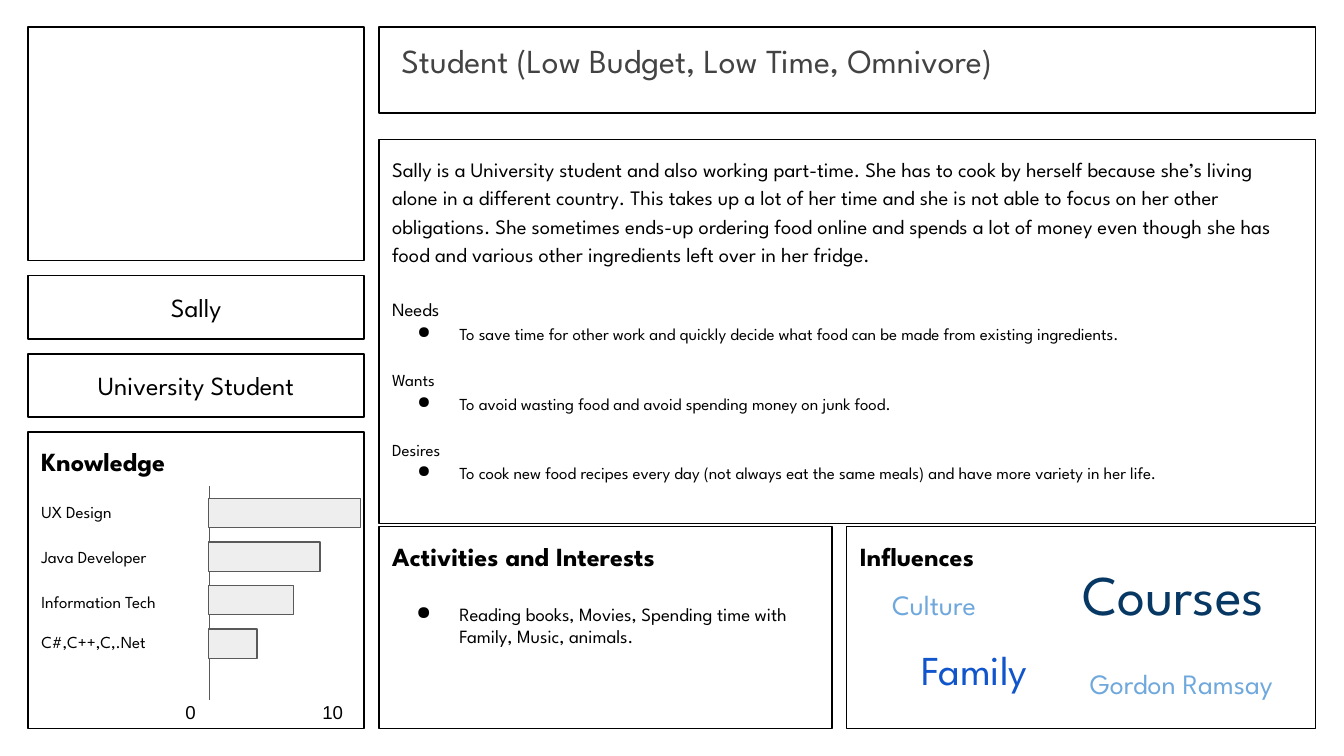
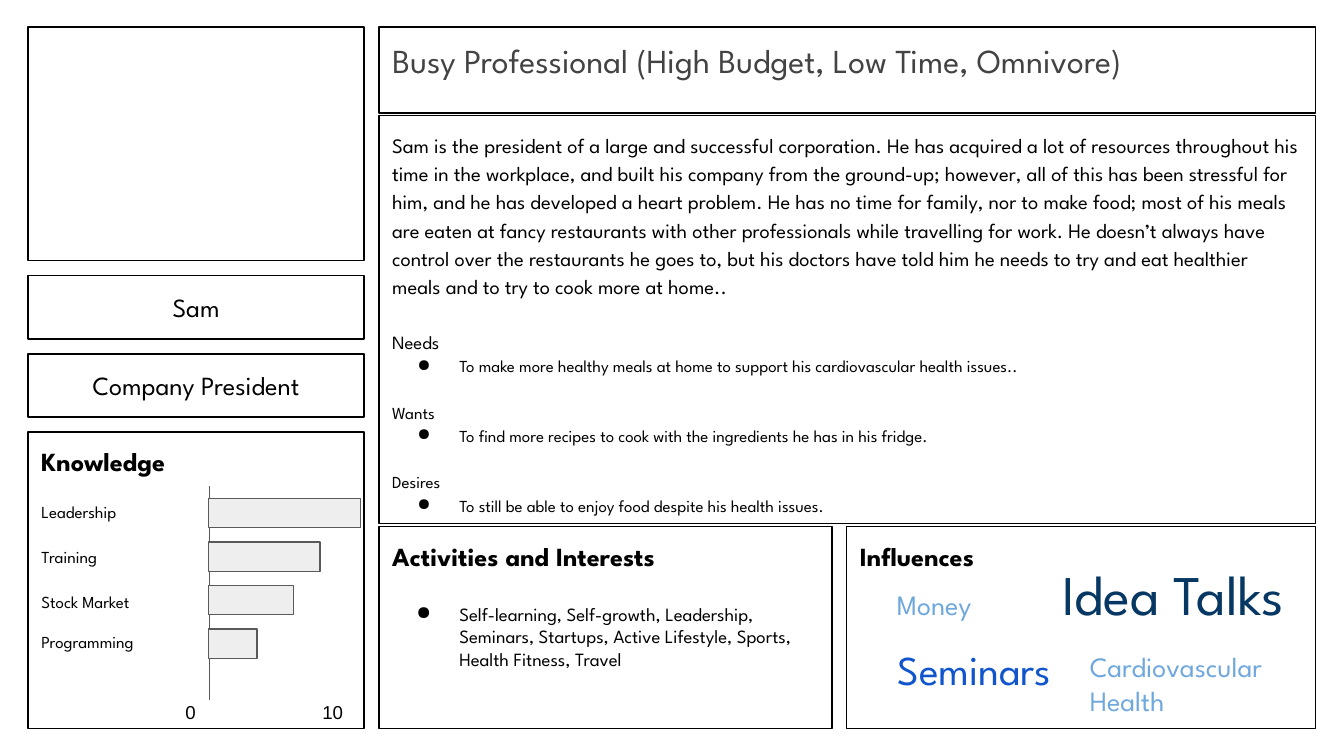
from dataclasses import dataclass

from lxml import etree
from pptx import Presentation
from pptx.dml.color import RGBColor
from pptx.enum import shapes, text
from pptx.oxml import ns
from pptx.util import Pt

HUES = {
    "ink": "000000", "title": "434343", "bar": "EEEEEE", "rule": "595959",
    "navy": "073763", "blue": "1155CC", "sky": "6FA8DC",
}
FACE = "League Spartan"
PAD, EDGE = 7.2, 0.75
LEFT, SIDE = 15.1, 180       # narrow column
MAIN, WIDE = 203, 501.8      # wide column
TOP, BASE, GAP = 14.4, 390.2, 8
LOW = 282.2                  # top of the lower row
FLOOR = 280.5                # foot of the story box
CARD = 33.9                  # height of the name and role boxes
AXIS = 112.1
BARS = (81.5, 59.8, 45.4, 26)
START, STEP, THICK = 267, 23.3, 15.8


@dataclass(frozen=True)
class Box:
    x: float
    y: float
    w: float
    h: float


@dataclass(frozen=True)
class Para:
    words: str
    size: float
    bold: bool = False
    above: float = 0
    hang: float = 0
    line: float = 1
    hue: str = "ink"
    face: str = FACE
    mid: bool = False
    inset: float = 0


@dataclass(frozen=True)
class Word:
    box: Box
    size: float
    hue: str
    mid: bool = True


@dataclass(frozen=True)
class Persona:
    title: str
    inset: float
    name: str
    role: str
    top: float
    story: str
    goals: tuple[str, str, str]
    hobby: str
    skills: tuple[str, ...]
    likes: tuple[str, ...]


CLOUD = (
    Word(Box(552.2, 285.8, 152.6, 64.1), 30, "navy"),
    Word(Box(424.1, 306.7, 152.6, 33.8), 15, "sky"),
    Word(Box(576.7, 349.2, 123.8, 33.8), 15, "sky", False),
    Word(Box(445.7, 342.7, 152.6, 31.7), 22, "blue"),
)

CAST = (
    Persona(
        "Student (Low Budget, Low Time, Omnivore)", 4.8,
        "Sally", "University Student", 74.9,
        "Sally is a University student and also working part-time. She has to "
        "cook by herself because she’s living alone in a different country. "
        "This takes up a lot of her time and she is not able to focus on her "
        "other obligations. She sometimes ends-up ordering food online and "
        "spends a lot of money even though she has food and various other "
        "ingredients left over in her fridge.",
        ("To save time for other work and quickly decide what food can be "
         "made from existing ingredients.",
         "To avoid wasting food and avoid spending money on junk food.",
         "To cook new food recipes every day (not always eat the same meals) "
         "and have more variety in her life."),
        "Reading books, Movies, Spending time with Family, Music, animals.",
        ("UX Design", "Java Developer", "Information Tech", "C#,C++,C,.Net"),
        ("Courses", "Culture", "Gordon Ramsay", "Family"),
    ),
    Persona(
        "Busy Professional (High Budget, Low Time, Omnivore)", 0,
        "Sam", "Company President", 62,
        "Sam is the president of a large and successful corporation. He has "
        "acquired a lot of resources throughout his time in the workplace, "
        "and built his company from the ground-up; however, all of this has "
        "been stressful for him, and he has developed a heart problem. He has "
        "no time for family, nor to make food; most of his meals are eaten at "
        "fancy restaurants with other professionals while travelling for "
        "work. He doesn’t always have control over the restaurants he goes "
        "to, but his doctors have told him he needs to try and eat healthier "
        "meals and to try to cook more at home..",
        ("To make more healthy meals at home to support his cardiovascular "
         "health issues..",
         "To find more recipes to cook with the ingredients he has in his "
         "fridge.",
         "To still be able to enjoy food despite his health issues."),
        "Self-learning, Self-growth, Leadership, Seminars, Startups, Active "
        "Lifestyle, Sports, Health Fitness, Travel",
        ("Leadership", "Training", "Stock Market", "Programming"),
        ("Idea Talks", "Money", "Cardiovascular Health", "Seminars"),
    ),
)


def tint(key: str) -> RGBColor:
    return RGBColor.from_string(HUES[key])


def indent(par, left: float, first: float) -> None:
    props = par._p.get_or_add_pPr()
    props.set("marL", str(Pt(left)))
    props.set("indent", str(Pt(first)))


def bullet(par, hang: float) -> None:
    indent(par, 36, -hang)
    props = par._p.get_or_add_pPr()
    hue = etree.SubElement(props, ns.qn("a:buClr"))
    etree.SubElement(hue, ns.qn("a:srgbClr")).set("val", HUES["ink"])
    etree.SubElement(props, ns.qn("a:buChar")).set("char", "●")


def write(shape, paras: list[Para], mid: bool = False) -> None:
    """Fill a shape with paragraphs."""
    frame = shape.text_frame
    frame.word_wrap = True
    frame.auto_size = text.MSO_AUTO_SIZE.NONE
    frame.vertical_anchor = (
        text.MSO_ANCHOR.MIDDLE if mid else text.MSO_ANCHOR.TOP)
    frame.margin_left = frame.margin_right = Pt(PAD)
    frame.margin_top = frame.margin_bottom = Pt(PAD)
    for i, item in enumerate(paras):
        par = frame.add_paragraph() if i else frame.paragraphs[0]
        par.text = item.words
        if item.hang:
            bullet(par, item.hang)
        elif item.inset:
            indent(par, item.inset, 0)
        par.alignment = text.PP_ALIGN.CENTER if item.mid else text.PP_ALIGN.LEFT
        par.line_spacing = item.line
        par.space_before = Pt(item.above)
        font = par.font
        font.name, font.size, font.bold = item.face, Pt(item.size), item.bold
        font.color.rgb = tint(item.hue)


def outline(shape, hue: str = "ink") -> None:
    shape.line.color.rgb = tint(hue)
    shape.line.width = Pt(EDGE)


def place(box: Box) -> list[Pt]:
    return [Pt(v) for v in (box.x, box.y, box.w, box.h)]


def panel(slide, box: Box, paras: list[Para] | None = None,
          mid: bool = False, fill: str = "", edge: str = "ink") -> None:
    shape = slide.shapes.add_shape(shapes.MSO_SHAPE.RECTANGLE, *place(box))
    shape.shadow.inherit = False
    if fill:
        shape.fill.solid()
        shape.fill.fore_color.rgb = tint(fill)
    else:
        shape.fill.background()
    outline(shape, edge)
    if paras:
        write(shape, paras, mid)


def label(slide, box: Box, para: Para, mid: bool = False) -> None:
    write(slide.shapes.add_textbox(*place(box)), [para], mid)


def head(slide, words: str, inset: float) -> None:
    shape = slide.shapes.title
    shape.left, shape.top, shape.width, shape.height = place(
        Box(MAIN, TOP, WIDE, 46.1))
    outline(shape)
    write(shape, [Para(words, 18, hue="title", inset=inset)])


def story(slide, who: Persona) -> None:
    paras = [Para(who.story, 11, line=1.15)]
    rows = zip(("Needs", "Wants", "Desires"), (10, 9, 9), (15.2, 12.4, 12.4),
               who.goals)
    for name, size, above, goal in rows:
        paras += [Para(name, size, above=above, line=1.15),
                  Para(goal, 9, hang=22.5, line=1.15)]
    panel(slide, Box(MAIN, who.top, WIDE, FLOOR - who.top), paras)


def chart(slide, skills: tuple[str, ...]) -> None:
    """Skill list with hand-set bars along an axis."""
    top = TOP + 125.3 + 2 * CARD + 3 * GAP
    paras = [Para("Knowledge", 14, True)]
    paras += [Para(skill, 9, above=above)
              for skill, above in zip(skills, (13.2, 13.2, 13.2, 10.8))]
    panel(slide, Box(LEFT, top, SIDE, BASE - top), paras)
    axis = slide.shapes.add_connector(
        shapes.MSO_CONNECTOR.STRAIGHT, Pt(AXIS), Pt(260.6), Pt(AXIS), Pt(375.1))
    outline(axis, "rule")
    etree.SubElement(axis._element.spPr, ns.qn("a:effectLst"))
    for i, size in enumerate(BARS):
        panel(slide, Box(AXIS - 0.4, START + i * STEP, size, THICK),
              fill="bar", edge="rule")
    for words, x, w in (("0", 92.2, 23), ("10", 165.6, 32.4)):
        label(slide, Box(x, 368.3, w, 31.7), Para(words, 10, face="Arial"))


def build(deck, who: Persona) -> None:
    slide = deck.slides.add_slide(deck.slide_layouts[5])
    head(slide, who.title, who.inset)

    # Portrait frame, name and role
    panel(slide, Box(LEFT, TOP, SIDE, 125.3))
    for i, words in enumerate((who.name, who.role)):
        y = TOP + 125.3 + GAP + i * (CARD + GAP)
        panel(slide, Box(LEFT, y, SIDE, CARD), [Para(words, 14, mid=True)], True)

    story(slide, who)
    chart(slide, who.skills)

    # Lower row
    panel(slide, Box(MAIN, LOW, 242.8, BASE - LOW),
          [Para("Activities and Interests", 14, True),
           Para(who.hobby, 10, above=16.8, hang=23)])
    panel(slide, Box(453.6, LOW, MAIN + WIDE - 453.6, BASE - LOW),
          [Para("Influences", 14, True)])
    for word, words in zip(CLOUD, who.likes):
        label(slide, word.box,
              Para(words, word.size, hue=word.hue, mid=word.mid), True)


def main() -> None:
    deck = Presentation()
    deck.slide_width, deck.slide_height = Pt(720), Pt(405)
    for who in CAST:
        build(deck, who)
    deck.save("out.pptx")


if __name__ == "__main__":
    main()
